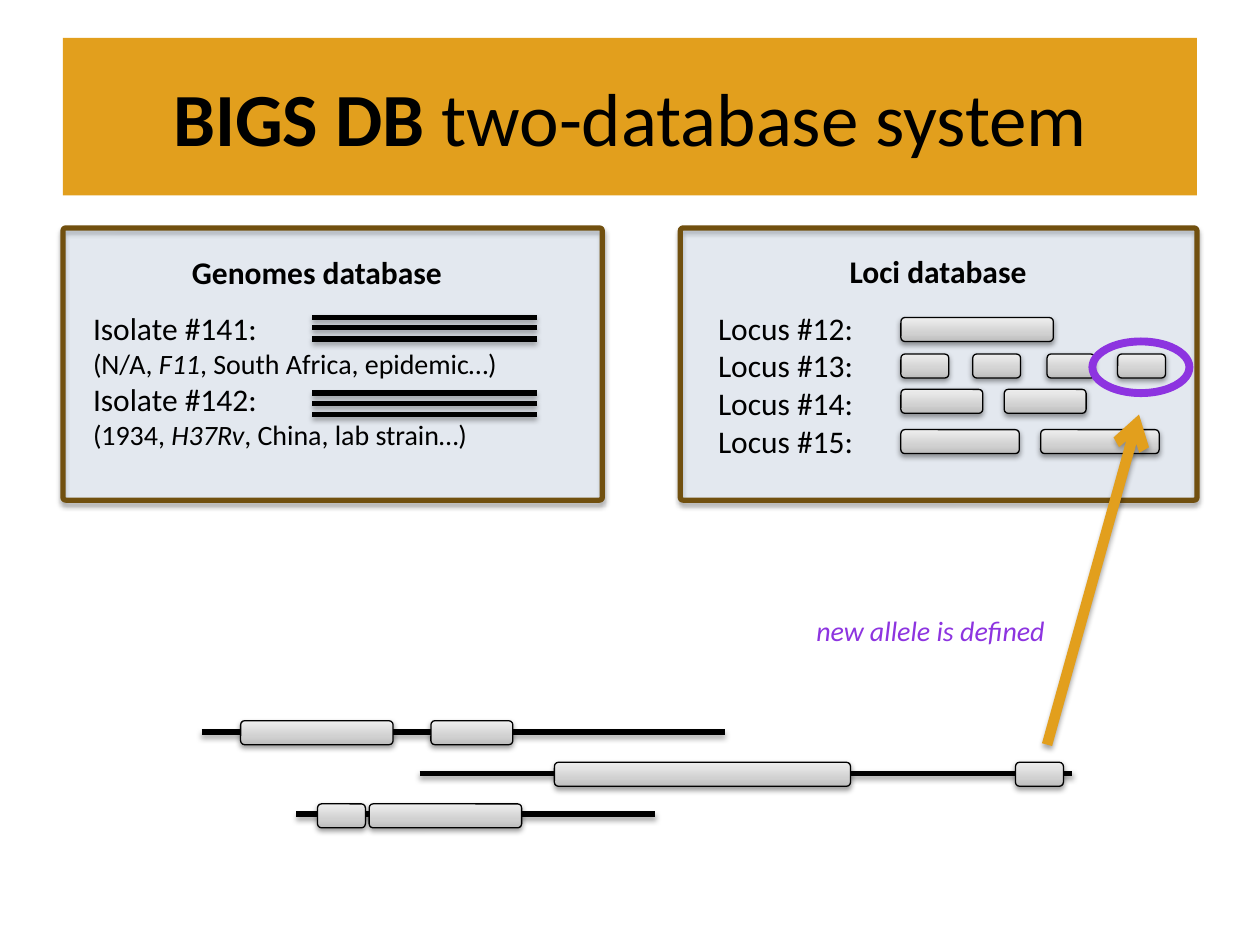
from lxml import etree
from pptx import Presentation, util as u
from pptx.dml.color import RGBColor
from pptx.enum import shapes as sh, text as tx
from pptx.oxml import parse_xml
from pptx.oxml.ns import qn

NS = 'xmlns:a="http://schemas.openxmlformats.org/drawingml/2006/main"'
INCH = u.Inches
rgb = RGBColor.from_string
GOLD, PURPLE, BLACK = "E29F1D", "8D34E0", "000000"
LEFT, MID = tx.PP_ALIGN.LEFT, tx.PP_ALIGN.CENTER

prs = Presentation()
prs.slide_width, prs.slide_height = INCH(10), INCH(7.5)
slide = prs.slides.add_slide(prs.slide_layouts[6])
items = slide.shapes


def shade(item, alpha=35, dist=1.8):
    """Drop a soft shadow straight below the item."""
    props = item._element.spPr
    for old in props.findall(qn("a:effectLst")):
        props.remove(old)
    props.append(parse_xml(
        f'<a:effectLst {NS}><a:outerShdw blurRad="{u.Pt(3.1)}" dist="{u.Pt(dist)}" '
        f'dir="5400000" rotWithShape="0"><a:srgbClr val="{BLACK}">'
        f'<a:alpha val="{alpha * 1000}"/></a:srgbClr></a:outerShdw></a:effectLst>'))


def write(frame, paras, align=LEFT, color=BLACK):
    """Fill a frame; each paragraph is a size and (text, style) runs."""
    frame.word_wrap = True
    for n, (size, runs) in enumerate(paras):
        para = frame.paragraphs[0] if n == 0 else frame.add_paragraph()
        para.alignment = align
        para.font.name, para.font.size = "Calibri", u.Pt(size)
        para.font.color.rgb = rgb(color)
        for words, style in runs:
            run = para.add_run()
            run.text = words
            if style:
                run.font.bold, run.font.italic = style == "b", style == "i"


# Database panels
for x, w in [(5.4, 4.1), (0.5, 4.28)]:
    panel = items.add_shape(sh.MSO_SHAPE.ROUNDED_RECTANGLE,
                            INCH(x), INCH(1.81), INCH(w), INCH(2.16))
    panel.adjustments[0] = 0.01
    panel.fill.solid()
    panel.fill.fore_color.rgb = rgb("BBD7F8")
    tint = panel._element.spPr.find(qn("a:solidFill"))[0]
    etree.SubElement(tint, qn("a:alpha")).set("val", "20000")
    panel.line.color.rgb, panel.line.width = rgb("71500F"), u.Pt(3)
    shade(panel)

# Contigs below, and three strands for each isolate
lines = [(1.6, 5.75, 5.81), (3.33, 8.51, 6.14), (2.35, 5.2, 6.46)]
lines += [(2.48, 4.26, mid + gap) for mid in (2.6, 3.2) for gap in (-0.08, 0, 0.09)]
for x, end, y in lines:
    line = items.add_connector(sh.MSO_CONNECTOR.STRAIGHT,
                               INCH(x), INCH(y), INCH(end), INCH(y))
    line.line.color.rgb, line.line.width = rgb(BLACK), u.Pt(3)
    shade(line)

# Panel texts and the note: left, top, width, height, paragraphs, alignment, colour
notes = [
    (0.67, 1.96, 3.69, 0.71, [(18, [("Genomes database", "b")])], MID, BLACK),
    (5.6, 1.95, 3.69, 0.71, [(18, [("Loci database", "b")])], MID, BLACK),
    (0.64, 2.4, 4.2, 1.25, [
        (18, [("Isolate #141:", "")]),
        (16, [("(N/A, ", ""), ("F11", "i"), (", South Africa, epidemic…)", "")]),
        (18, [("Isolate #142:", "")]),
        (16, [("(1934, ", ""), ("H37Rv", "i"), (", China, lab strain…)", "")]),
    ], LEFT, BLACK),
    (5.6, 2.4, 1.79, 1.31,
     [(18, [(f"Locus #{n}:", "")]) for n in range(12, 16)], LEFT, BLACK),
    (6.26, 4.82, 2.25, 0.37, [(16, [("new allele is defined", "i")])], MID, PURPLE),
]
for x, y, w, h, paras, align, color in notes:
    box = items.add_textbox(INCH(x), INCH(y), INCH(w), INCH(h))
    write(box.text_frame, paras, align, color)

# Alleles: top of each row, then (left, width) of its bars
rows = [
    (2.52, [(7.15, 1.21)]),
    (2.81, [(x, 0.38) for x in (7.15, 7.72, 8.31, 8.87)]),
    (3.09, [(7.15, 0.65), (7.97, 0.65)]),
    (3.41, [(7.15, 0.94), (8.26, 0.94)]),
    (5.72, [(1.91, 1.21), (3.42, 0.65)]),
    (6.05, [(4.4, 2.35), (8.06, 0.38)]),
    (6.38, [(2.52, 0.38), (2.93, 1.21)]),
]
stops = "".join(f'<a:gs pos="{pos * 1000}"><a:srgbClr val="{color}"/></a:gs>'
                for pos, color in [(0, "BDBDBD"), (35, "D1D1D1"), (100, "EEEEEE")])
for y, bars in rows:
    for x, w in bars:
        bar = items.add_shape(sh.MSO_SHAPE.ROUNDED_RECTANGLE,
                              INCH(x), INCH(y), INCH(w), INCH(0.19))
        bar._element.spPr.find(qn("a:prstGeom")).addnext(parse_xml(
            f'<a:gradFill {NS} rotWithShape="1"><a:gsLst>{stops}</a:gsLst>'
            '<a:lin ang="16200000" scaled="0"/></a:gradFill>'))
        bar.line.color.rgb, bar.line.width = rgb(BLACK), u.Pt(0.75)
        shade(bar, 38, 1.6)

# Ring around the new allele
ring = items.add_shape(sh.MSO_SHAPE.OVAL, INCH(8.67), INCH(2.71), INCH(0.77), INCH(0.41))
ring.shadow.inherit = False
ring.fill.background()
ring.line.color.rgb, ring.line.width = rgb(PURPLE), u.Pt(4.5)

# Arrow from the contig to the loci database
arrow = items.add_connector(sh.MSO_CONNECTOR.STRAIGHT,
                            INCH(8.31), INCH(5.91), INCH(9.04), INCH(3.29))
arrow.line.color.rgb, arrow.line.width = rgb(GOLD), u.Pt(6)
etree.SubElement(arrow.line._get_or_add_ln(), qn("a:tailEnd")).set("type", "arrow")
shade(arrow)

# Title band
band = items.add_shape(sh.MSO_SHAPE.RECTANGLE, INCH(0.5), INCH(0.3), INCH(9), INCH(1.25))
band.shadow.inherit = False
band.fill.solid()
band.fill.fore_color.rgb = rgb(GOLD)
band.line.fill.background()
band.text_frame.vertical_anchor = tx.MSO_ANCHOR.MIDDLE
write(band.text_frame, [(42.9, [("BIGS DB ", "b"), ("two-database system", "")])], MID)

prs.save("out.pptx")
